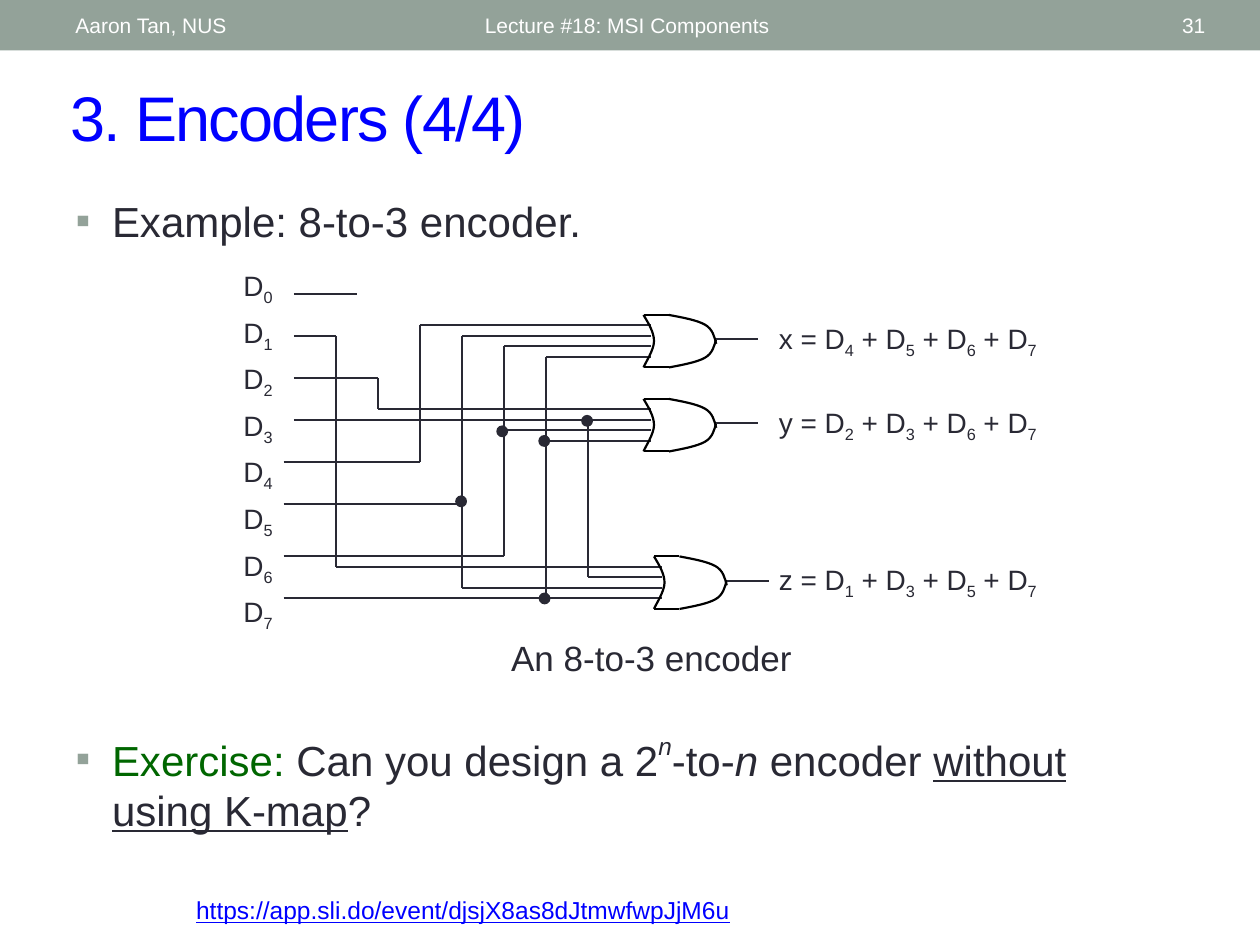
from dataclasses import dataclass

from lxml import etree
from pptx import Presentation
from pptx.dml.color import RGBColor
from pptx.enum import shapes, text
from pptx.oxml import ns
from pptx.util import Pt


@dataclass(frozen=True)
class Theme:
    font: str = "Arial"
    ink: str = "292934"
    blue: str = "0000FF"
    green: str = "006600"
    sage: str = "93A299"
    white: str = "FFFFFF"
    black: str = "000000"
    title: int = 36
    body: int = 24
    caption: int = 20
    label: int = 16
    link: int = 14
    header: int = 12
    wire: float = 1.25


def color(value):
    return RGBColor.from_string(value)


class SlideWriter:
    def __init__(self, slide, theme):
        self.slide = slide
        self.theme = theme

    def run(self, paragraph, content, size, fill=None, italic=None, underline=None, **attributes):
        run = paragraph.add_run()
        run.text = content
        font = run.font
        font.name, font.size = self.theme.font, Pt(size)
        font.color.rgb = color(fill or self.theme.ink)
        font.italic, font.underline = italic, underline
        for name, value in attributes.items():
            font._element.set(name, str(value))

    def subscripted(self, paragraph, pieces):
        for content, index in pieces:
            self.run(paragraph, content, self.theme.label)
            self.run(paragraph, str(index), self.theme.label, baseline=-25000)

    def place(self, shape, box, anchor=text.MSO_ANCHOR.TOP):
        shape.left, shape.top, shape.width, shape.height = map(Pt, box)
        frame = shape.text_frame
        frame.word_wrap = True
        frame.auto_size = text.MSO_AUTO_SIZE.NONE
        frame.vertical_anchor = anchor
        return frame.paragraphs[0]

    def text_box(self, box, anchor=text.MSO_ANCHOR.TOP):
        return self.place(self.slide.shapes.add_textbox(0, 0, 0, 0), box, anchor)

    def title(self, content, box):
        paragraph = self.place(self.slide.shapes.title, box, text.MSO_ANCHOR.MIDDLE)
        paragraph.alignment = text.PP_ALIGN.LEFT
        self.run(paragraph, content, self.theme.title, self.theme.blue, spc=-100)

    def bullet(self, index, box):
        paragraph = self.place(self.slide.placeholders[index], box)
        properties = paragraph._p.get_or_add_pPr()
        properties.set("marL", str(Pt(20.8)))
        properties.set("indent", str(-Pt(20.8)))
        bullet_color = etree.SubElement(properties, ns.qn("a:buClr"))
        etree.SubElement(bullet_color, ns.qn("a:srgbClr"), val=self.theme.sage)
        etree.SubElement(properties, ns.qn("a:buChar"), char="▪")
        paragraph.space_before = Pt(0)
        return paragraph

    def header(self, content, left, width, alignment=text.PP_ALIGN.LEFT):
        paragraph = self.text_box((left, 1.5, width, 26), text.MSO_ANCHOR.MIDDLE)
        paragraph.alignment = alignment
        self.run(paragraph, content, self.theme.header, self.theme.white)

    def solid(self, kind, box, fill, outlined=False):
        shape = self.slide.shapes.add_shape(kind, *map(Pt, box))
        shape.shadow.inherit = False
        shape.fill.solid()
        shape.fill.fore_color.rgb = color(fill)
        if outlined:
            shape.line.color.rgb = color(fill)
            shape.line.width = Pt(0.75)
        else:
            shape.line.fill.background()

    def junction(self, x, y):
        self.solid(shapes.MSO_SHAPE.OVAL, (x - 3, y - 3, 6, 6), self.theme.ink, True)

    def wire(self, *points, fill=None):
        for start, end in zip(points, points[1:]):
            connector = self.slide.shapes.add_connector(
                shapes.MSO_CONNECTOR.STRAIGHT,
                Pt(start[0]), Pt(start[1] - 0.1), Pt(end[0]), Pt(end[1] - 0.1))
            connector.line.color.rgb = color(fill or self.theme.ink)
            connector.line.width = Pt(self.theme.wire)
            etree.SubElement(connector._element.spPr, ns.qn("a:effectLst"))

    def curve(self, left, top, points):
        start, *rest = [(Pt(left + x), Pt(top + y)) for x, y in points]
        builder = self.slide.shapes.build_freeform(*start)
        builder.add_line_segments(rest, close=False)
        shape = builder.convert_to_shape()
        segments = list(shape._element.iter(ns.qn("a:lnTo")))
        for first in range(0, len(segments), 3):
            bezier = etree.Element(ns.qn("a:cubicBezTo"))
            segments[first].addprevious(bezier)
            for segment in segments[first:first + 3]:
                bezier.append(segment[0])
                segment.getparent().remove(segment)
        shape.shadow.inherit = False
        shape.fill.background()
        shape.line.color.rgb = color(self.theme.black)
        shape.line.width = Pt(self.theme.wire)

    def or_gate(self, left, top):
        back = [(0, 0), (3, 5), (6, 10), (6, 15), (6, 20), (1, 27.5), (0, 30)]
        upper = [(14.5, 0), (22.5, 1.5), (30.5, 3), (35, 5.5),
                 (39.5, 8), (40.5, 12.5), (41.5, 16.5)]
        lower = [(x, 30 - y) for x, y in upper]
        self.curve(left, top, back)
        for y in (top, top + 30):
            self.wire((left, y), (left + 14.5, y), fill=self.theme.black)
        self.curve(left, top, upper)
        self.curve(left, top, lower)
        self.wire((left + 41.5, top + 14), (left + 65.5, top + 14))

    def equation(self, output, inputs, top):
        paragraph = self.text_box((438, top, 186, 26.5))
        prefixes = [f"{output} = D"] + [" + D"] * (len(inputs) - 1)
        self.subscripted(paragraph, zip(prefixes, inputs))


WIRES = [
    [(168, 168), (204, 168)],
    [(168, 192), (192, 192), (192, 324), (378, 324)],
    [(168, 216), (216, 216), (216, 234), (372, 234)],
    [(168, 240), (372, 240)],
    [(336, 240), (336, 330), (378, 330)],
    [(162, 264), (240, 264), (240, 186), (372, 186)],
    [(162, 288), (264, 288)],
    [(372, 192), (264, 192), (264, 336), (378, 336)],
    [(162, 318), (288, 318), (288, 198), (372, 198)],
    [(288, 246), (372, 246)],
    [(162, 342), (378, 342)],
    [(312, 342), (312, 204), (372, 204)],
    [(312, 252), (372, 252)],
]
JUNCTIONS = [(263.5, 286.5), (287, 246.5), (311, 252), (311.2, 342), (335.5, 240.5)]
GATES = [("x", (4, 5, 6, 7), 367.75, 180), ("y", (2, 3, 6, 7), 367.75, 228),
         ("z", (1, 3, 5, 7), 373.75, 318)]


def main():
    presentation = Presentation()
    presentation.slide_width, presentation.slide_height = Pt(720), Pt(540)
    theme = Theme()
    slide = presentation.slides.add_slide(presentation.slide_layouts[3])
    writer = SlideWriter(slide, theme)

    writer.solid(shapes.MSO_SHAPE.RECTANGLE, (0, 0, 720, 28.8), theme.sage)
    writer.header("Aaron Tan, NUS", 36, 228)
    writer.header("Lecture #18: MSI Components", 270, 324)
    writer.header("31", 627.5, 68.4, text.PP_ALIGN.RIGHT)
    writer.title("3. Encoders (4/4)", (33, 41, 663, 50.5))

    example = writer.bullet(1, (36, 108, 630, 42))
    writer.run(example, "Example: 8-to-3 encoder.", theme.body)

    labels = writer.text_box((132, 150, 34.5, 201.5))
    frame = slide.shapes[-1].text_frame
    for index in range(8):
        paragraph = frame.add_paragraph() if index else labels
        paragraph.space_before = Pt(4.8 if index else 0)
        writer.subscripted(paragraph, [("D", index)])

    for points in WIRES:
        writer.wire(*points)
    for center in JUNCTIONS:
        writer.junction(*center)
    for output, inputs, left, top in GATES:
        writer.or_gate(left, top)
        writer.equation(output, inputs, top)

    caption = writer.text_box((285, 360, 186, 31))
    writer.run(caption, "An 8-to-3 encoder", theme.caption)

    exercise = writer.bullet(2, (36, 414, 630, 60))
    writer.run(exercise, "Exercise: ", theme.body, theme.green)
    writer.run(exercise, "Can you design a 2", theme.body)
    writer.run(exercise, "n", theme.body, italic=True, baseline=50000)
    writer.run(exercise, "-to-", theme.body)
    writer.run(exercise, "n", theme.body, italic=True)
    writer.run(exercise, " encoder ", theme.body)
    writer.run(exercise, "without using K-map", theme.body, underline=True)
    writer.run(exercise, "?", theme.body)

    link = writer.text_box((105, 508.2, 579, 24.5))
    writer.run(link, "https://app.sli.do/event/djsjX8as8dJtmwfwpJjM6u",
               theme.link, theme.blue, underline=True)
    presentation.save("out.pptx")


if __name__ == "__main__":
    main()
